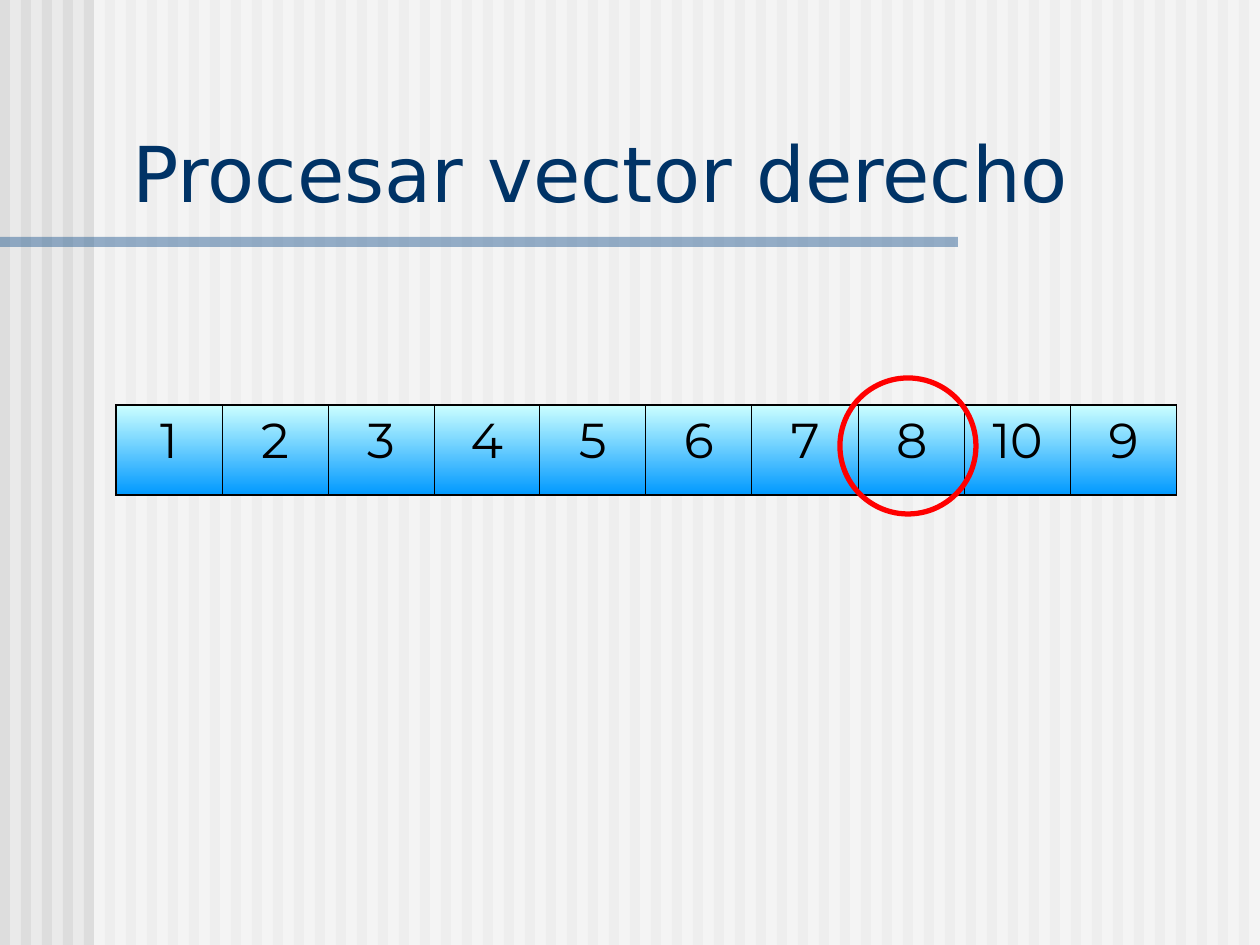
from lxml import etree
from pptx import Presentation
from pptx import util as u
from pptx.dml import color
from pptx.enum import shapes, text
from pptx.oxml import ns

PX_PER_INCH = 126
PLAIN_TABLE = "{2D5ABB26-0587-4C30-8999-92F81FD0307C}"
THICK, THIN = 1.08, 0.45


def px(length):
    return u.Inches(length / PX_PER_INCH)


def rgb(hex_code):
    return color.RGBColor.from_string(hex_code)


class VectorSlide:
    title_font, number_font = "DejaVu Sans", "Montserrat"
    ink, title_ink, ring_ink = "000000", "003366", "FF0000"
    cell_top, cell_bottom = "CCFFFF", "0099FF"

    def __init__(self, prs):
        self.slide = prs.slides.add_slide(prs.slide_layouts[5])
        background = self.slide.background.fill
        background.solid()
        background.fore_color.rgb = rgb("EAEAEA")

    def shape(self, kind, *box):
        shape = self.slide.shapes.add_shape(kind, *map(px, box))
        shape.shadow.inherit = False
        return shape

    def block(self, box, fill, opacity=100):
        block = self.shape(shapes.MSO_SHAPE.RECTANGLE, *box)
        block.fill.solid()
        block.fill.fore_color.rgb = rgb(fill)
        block.line.fill.background()
        if opacity < 100:
            tint = block.element.spPr.find(".//" + ns.qn("a:srgbClr"))
            etree.SubElement(tint, ns.qn("a:alpha"), val=str(opacity * 1000))

    def ring(self, box):
        ring = self.shape(shapes.MSO_SHAPE.OVAL, *box)
        ring.fill.background()
        ring.line.color.rgb = rgb(self.ring_ink)
        ring.line.width = u.Pt(3)

    def add_words(self, frame, words, size, font, ink, align):
        paragraph = frame.paragraphs[0]
        paragraph.alignment = align
        run = paragraph.add_run()
        run.text = words
        run.font.size = u.Pt(size)
        run.font.name = font
        run.font.color.rgb = rgb(ink)

    def title(self, words, box):
        title = self.slide.shapes.title
        title.left, title.top, title.width, title.height = map(px, box)
        # Bring the title in front of the backdrop
        self.slide.shapes.element.append(title.element)
        frame = title.text_frame
        frame.word_wrap = True
        frame.auto_size = text.MSO_AUTO_SIZE.SHAPE_TO_FIT_TEXT
        frame.vertical_anchor = text.MSO_ANCHOR.BOTTOM
        self.add_words(frame, words, 44, self.title_font, self.title_ink,
                       text.PP_ALIGN.LEFT)

    def border(self, cell, **widths):
        properties = cell._tc.get_or_add_tcPr()
        for side in "LRTB":
            if side in widths:
                line = etree.SubElement(properties, ns.qn(f"a:ln{side}"),
                                        w=str(int(u.Pt(widths[side]))))
                fill = etree.SubElement(line, ns.qn("a:solidFill"))
                etree.SubElement(fill, ns.qn("a:srgbClr"), val=self.ink)

    def number(self, cell, value):
        cell.fill.gradient()
        cell.fill.gradient_angle = 270
        for stop, tint in zip(cell.fill.gradient_stops,
                              (self.cell_top, self.cell_bottom)):
            stop.color.rgb = rgb(tint)
        self.add_words(cell.text_frame, str(value), 28, self.number_font,
                       self.ink, text.PP_ALIGN.CENTER)

    def vector(self, values, left, top, widths, row_height, merges):
        rows, columns = 3, len(widths)
        table = self.slide.shapes.add_table(
            rows, columns, px(left), px(top), px(sum(widths)),
            px(rows * row_height)).table
        table._tbl.tblPr.find(ns.qn("a:tableStyleId")).text = PLAIN_TABLE
        table.first_row = table.horz_banding = False
        for column, width in zip(table.columns, widths):
            column.width = px(width)
        for row in table.rows:
            row.height = px(row_height)
        for row, first, last in merges:
            table.cell(row, first).merge(table.cell(row, last))

        # Empty rows touch the vector with one edge only
        for column in range(columns):
            for row, side in ((0, "B"), (2, "T")):
                cell = table.cell(row, column)
                self.border(cell, **{side: THICK})
                cell.fill.background()

        # Numbers fill the middle row
        middle = [table.cell(1, column) for column in range(columns)]
        slots = [cell for cell in middle if not cell.is_spanned]
        for index, (cell, value) in enumerate(zip(slots, values)):
            self.border(cell, L=THIN if index else THICK,
                        R=THIN if index < len(slots) - 1 else THICK,
                        T=THICK, B=THICK)
            self.number(cell, value)


def main():
    prs = Presentation()
    prs.slide_width, prs.slide_height = px(1260), px(945)
    page = VectorSlide(prs)

    # Striped backdrop, veiled right of the margin
    for stripe in range(60):
        page.block((21 * stripe, 0, 10, 945), "DDDDDD")
    page.block((94, 0, 1166, 945), "FFFFFF", opacity=50)
    page.block((0, 237, 958, 10), "336699", opacity=50)

    # Vector, with the chosen element circled
    page.vector(values=[1, 2, 3, 4, 5, 6, 7, 8, 10, 9], left=116, top=315,
                widths=[106] * 6 + [78, 29, 106, 44, 62, 106], row_height=90,
                merges=[(0, 6, 7), (0, 9, 10), (1, 6, 7), (1, 9, 10),
                        (2, 7, 9)])
    page.title("Procesar vector derecho", (120, 118, 1125, 106))
    page.ring((840, 378, 136, 136))
    prs.save("out.pptx")


if __name__ == "__main__":
    main()
